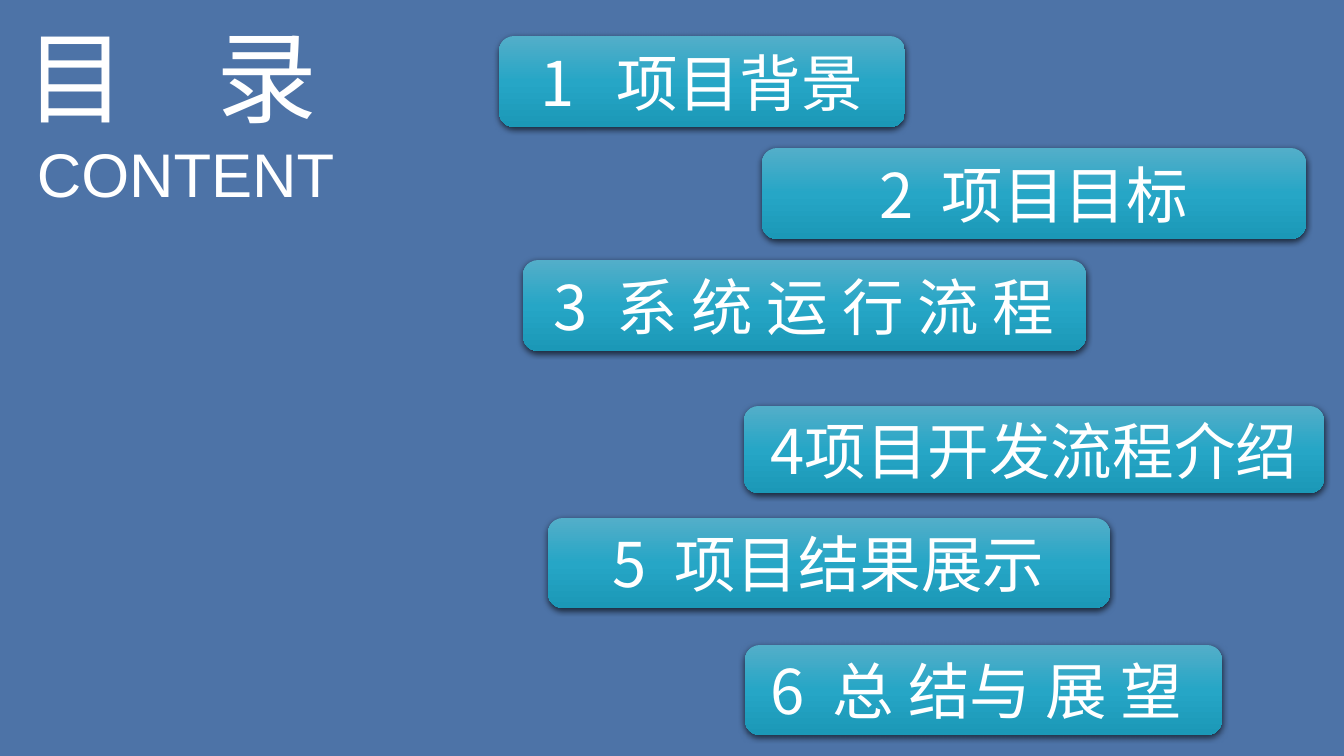
import dataclasses

import pptx
import pptx.dml.color
import pptx.enum.shapes
import pptx.enum.text
import pptx.oxml
import pptx.oxml.ns
import pptx.util

EMU_PER_PX = 914400 / 100.8
SLIDE_SIZE = (1344, 756)


@dataclasses.dataclass(frozen=True)
class Theme:
    background: str = "4D73A7"
    text: str = "FFFFFF"
    gradient: tuple = ((0, "53AEC9"), (50, "26A6C6"), (100, "1B98B7"))
    chinese_font: str = "Noto Sans CJK JP"
    latin_font: str = "Arial"
    title_size: int = 72
    item_size: int = 44
    indent_size: int = 28
    title_gap: int = 48
    space_width: int = 10


def px(length):
    return pptx.util.Emu(round(length * EMU_PER_PX))


def rgb(value):
    return pptx.dml.color.RGBColor.from_string(value)


def drawing(xml):
    return pptx.oxml.parse_xml(xml.replace(">", f" {pptx.oxml.ns.nsdecls('a')}>", 1))


def add_text(paragraph, text, *, size, font, color, gap=0):
    run = paragraph.add_run()
    run.text = text
    run.font.size = pptx.util.Pt(size)
    run.font.color.rgb = rgb(color)
    run.font.name = font
    properties = run.font._element
    properties.append(drawing(f'<a:ea typeface="{font}"></a:ea>'))
    if gap:
        properties.set("spc", str(gap * 100))


class ContentsSlide:
    """Draws the contents page in one theme on one slide."""

    def __init__(self, slide, theme):
        self.slide = slide
        self.theme = theme
        slide.background.fill.solid()
        slide.background.fill.fore_color.rgb = rgb(theme.background)

    def words(self, paragraph, text, size, font=None, gap=0):
        add_text(paragraph, text, size=size, font=font or self.theme.chinese_font,
                 color=self.theme.text, gap=gap)

    def heading(self, left, top, width, height, characters, subtitle):
        theme = self.theme
        box = self.slide.shapes.add_textbox(px(left), px(top), px(width), px(height))
        frame = box.text_frame
        frame.word_wrap = True
        frame.auto_size = pptx.enum.text.MSO_AUTO_SIZE.SHAPE_TO_FIT_TEXT
        first, last = characters
        title_line = frame.paragraphs[0]
        self.words(title_line, first, theme.title_size)
        self.words(title_line, " ", theme.title_size, gap=theme.title_gap)
        self.words(title_line, last, theme.title_size)
        subtitle_line = frame.add_paragraph()
        self.words(subtitle_line, " ", theme.indent_size, theme.latin_font)
        self.words(subtitle_line, subtitle, theme.item_size, theme.latin_font)

    def item(self, left, top, width, height, number, label, spaces):
        theme = self.theme
        button = self.slide.shapes.add_shape(
            pptx.enum.shapes.MSO_SHAPE.ROUNDED_RECTANGLE,
            px(left), px(top), px(width), px(height))
        self.gloss(button)
        frame = button.text_frame
        frame.word_wrap = True
        frame.vertical_anchor = pptx.enum.text.MSO_ANCHOR.MIDDLE
        line = frame.paragraphs[0]
        line.alignment = pptx.enum.text.PP_ALIGN.CENTER
        self.words(line, str(number), theme.item_size)
        if spaces:
            self.words(line, " ", theme.item_size, gap=(spaces - 1) * theme.space_width)
        self.words(line, label, theme.item_size)

    def gloss(self, shape):
        stops = "".join(
            f'<a:gs pos="{position * 1000}"><a:srgbClr val="{color}"/></a:gs>'
            for position, color in self.theme.gradient)
        properties = shape._element.spPr
        properties.append(drawing(
            f'<a:gradFill rotWithShape="1"><a:gsLst>{stops}</a:gsLst>'
            '<a:lin ang="5400000" scaled="0"/></a:gradFill>'))
        shape.line.fill.background()
        properties.append(drawing(
            '<a:effectLst><a:outerShdw blurRad="57150" dist="19050" dir="5400000"'
            ' algn="ctr" rotWithShape="0"><a:srgbClr val="000000">'
            '<a:alpha val="63000"/></a:srgbClr></a:outerShdw></a:effectLst>'))


ITEMS = (
    (499, 36, 406, 91, "项目背景", 3),
    (762, 148, 544, 91, "项目目标", 2),
    (523, 260, 563, 91, "系 统 运 行 流 程", 2),
    (744, 406, 580, 87, "项目开发流程介绍", 0),
    (548, 518, 562, 90, "项目结果展示", 2),
    (745, 645, 477, 90, "总 结与 展 望 ", 2),
)


def main():
    deck = pptx.Presentation()
    deck.slide_width, deck.slide_height = map(px, SLIDE_SIZE)
    contents = ContentsSlide(deck.slides.add_slide(deck.slide_layouts[6]), Theme())
    contents.heading(16, 10, 336, 217, "目录", "CONTENT")
    for number, (left, top, width, height, label, spaces) in enumerate(ITEMS, 1):
        contents.item(left, top, width, height, number, label, spaces)
    deck.save("out.pptx")


if __name__ == "__main__":
    main()
